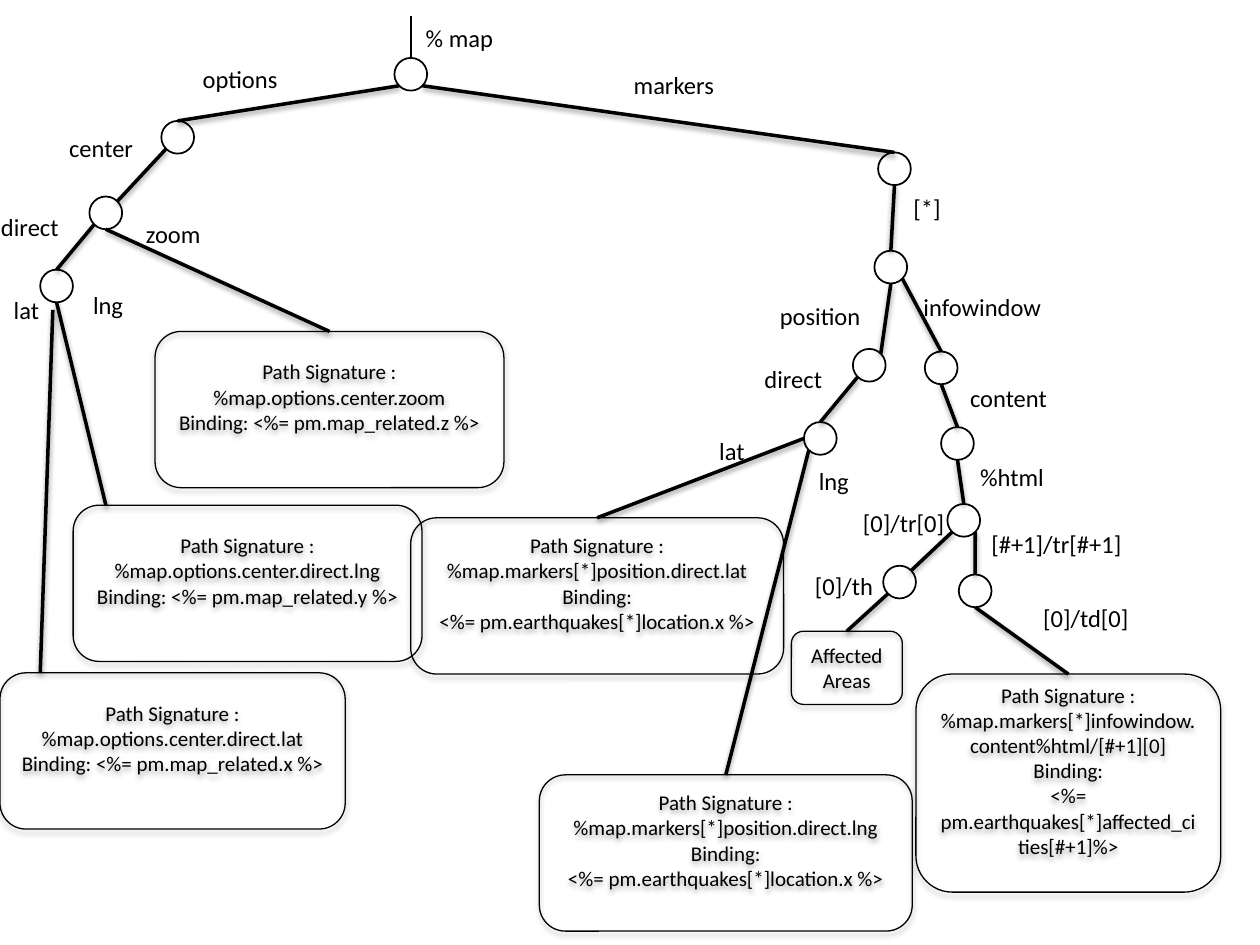
from lxml import etree
from pptx import Presentation
from pptx.dml.color import RGBColor
from pptx.enum import shapes, text
from pptx.oxml import ns
from pptx.util import Pt

HUES = {"ink": "000000", "paper": "FFFFFF"}
SIZE = 18.7
SITES = {"top": (0.5, 0), "left": (0, 0.5), "bottom": (0.5, 1),
         "nw": (0.15, 0.15), "ne": (0.85, 0.15),
         "sw": (0.15, 0.85), "se": (0.85, 0.85)}


def hue(name):
    return RGBColor.from_string(HUES[name])


def write(frame, lines, size=14, align=text.PP_ALIGN.LEFT, shift=0):
    for num, line in enumerate(lines):
        para = frame.paragraphs[0] if num == 0 else frame.add_paragraph()
        para.alignment = align
        run = para.add_run()
        run.text = line
        run.font.size = Pt(size)
        run.font.name = "Calibri"
        run.font.color.rgb = hue("ink")
        if shift and line == "Binding:":
            para._p.get_or_add_pPr().set("indent", str(-Pt(shift)))


def shade(shape, dist, alpha):
    props = shape._element.spPr
    for old in props.findall(ns.qn("a:effectLst")):
        props.remove(old)
    group = etree.SubElement(props, ns.qn("a:effectLst"))
    if dist:
        cast = etree.SubElement(group, ns.qn("a:outerShdw"), blurRad=str(Pt(3.1)),
                                dist=str(Pt(dist)), dir="5400000", rotWithShape="0")
        tint = etree.SubElement(cast, ns.qn("a:srgbClr"), val=HUES["ink"])
        etree.SubElement(tint, ns.qn("a:alpha"), val=str(alpha * 1000))


def label(slide, left, top, width, words):
    box = slide.shapes.add_textbox(Pt(left), Pt(top), Pt(width), Pt(24.2))
    box.text_frame.word_wrap = False
    box.text_frame.auto_size = text.MSO_AUTO_SIZE.SHAPE_TO_FIT_TEXT
    write(box.text_frame, [words])


def node(slide, left, top):
    ring = slide.shapes.add_shape(shapes.MSO_SHAPE.OVAL, Pt(left), Pt(top), Pt(SIZE), Pt(SIZE))
    ring.shadow.inherit = False
    ring.fill.solid()
    ring.fill.fore_color.rgb = hue("paper")
    ring.line.color.rgb = hue("ink")
    ring.line.width = Pt(1)
    return ring


def card(slide, left, top, width, height, lines, spare=14.6):
    box = slide.shapes.add_shape(shapes.MSO_SHAPE.ROUNDED_RECTANGLE,
                                 Pt(left), Pt(top), Pt(width), Pt(height))
    box.fill.background()
    box.line.color.rgb = hue("ink")
    box.line.width = Pt(0.75)
    shade(box, 1.8, 35)
    frame = box.text_frame
    frame.word_wrap = True
    frame.vertical_anchor = text.MSO_ANCHOR.MIDDLE
    frame.margin_bottom = Pt(3.6 + spare)
    write(frame, lines, size=12, align=text.PP_ALIGN.CENTER, shift=16)
    return box


def line(slide, start, end, width=2, dist=1.6):
    link = slide.shapes.add_connector(shapes.MSO_CONNECTOR.STRAIGHT, *start, *end)
    link.line.color.rgb = hue("ink")
    link.line.width = Pt(width)
    shade(link, dist, 38)
    return link


def spot(shape, site):
    across, down = SITES[site]
    return (int(shape.left + shape.width * across),
            int(shape.top + shape.height * down))


def join(slide, start, site, end, goal="top"):
    link = line(slide, spot(start, site), spot(end, goal))
    if goal == "top":
        link.end_connect(end, 0)


def trunk(slide, left, top):
    root = node(slide, left, top + 23.7)
    tip = spot(root, "top")
    line(slide, (tip[0], Pt(top)), tip, width=1, dist=0)
    label(slide, left + 10.8, top, 53.3, "% map")
    return root


def limb(slide, left, top, nodes, cards, labels, edges, root):
    parts = {"root": root}
    for name, (x, y) in nodes.items():
        parts[name] = node(slide, left + x, top + y)
    for name, (x, y, *rest) in cards.items():
        parts[name] = card(slide, left + x, top + y, *rest)
    for x, y, width, words in labels:
        label(slide, left + x, top + y, width, words)
    for start, site, end, *goal in edges:
        join(slide, parts[start], site, parts[end], *goal)
    return parts


def options(slide, left, top, root):
    def bind(trail, key):
        return [f"Path Signature : %map.options.center.{trail}",
                f"Binding: <%= pm.map_related.{key} %>"]

    nodes = {"options": (92.2, 39.1), "center": (51.1, 82.3), "direct": (23, 124.1)}
    cards = {"lng": (41.8, 258.7, 199.4, 89.3, bind("direct.lng", "y")),
             "lat": (0, 354.5, 197.3, 89.3, bind("direct.lat", "x")),
             "zoom": (88.6, 159.4, 199.4, 89.3, bind("zoom", "z"))}
    labels = [(108.7, 3.1, 57.6, "options"), (32.4, 42.7, 51.8, "center"),
              (-6.5, 87.4, 48.2, "direct"), (0.7, 134.9, 29.5, "lat"),
              (46.1, 132, 31.7, "lng"), (76.3, 91.7, 46.1, "zoom")]
    edges = [("root", "sw", "options"), ("options", "sw", "center", "ne"),
             ("center", "sw", "direct"), ("center", "bottom", "zoom")]
    parts = limb(slide, left, top, nodes, cards, labels, edges, root)
    line(slide, spot(parts["direct"], "bottom"), (Pt(left + 60.5), parts["lng"].top))
    line(slide, (Pt(left + 30.2), Pt(top + 147.1)), (Pt(left + 23), parts["lat"].top))


def markers(slide, left, top, root):
    def bind(trail, key):
        return [f"Path Signature : %map.markers[*]{trail}", "Binding:",
                f"<%= pm.earthquakes[*]{key}%>"]

    nodes = {"markers": (281.8, 57.1), "item": (279.7, 113.3), "place": (267.4, 169.4),
             "direct": (239.4, 211.2), "info": (308.5, 170.9), "content": (317.8, 214.1),
             "html": (321.4, 258), "head": (284.7, 293.3), "row": (327.9, 298.3)}
    cards = {"lat": (14.7, 265.9, 213.1, 89.3, bind("position.direct.lat", "location.x ")),
             "lng": (88.2, 412.8, 213.1, 89.3, bind("position.direct.lng", "location.x ")),
             "areas": (232.2, 330.7, 63.4, 41.8, ["Affected Areas"], 0),
             "cities": (303.4, 355.2, 174.2, 124.6,
                        bind("infowindow.content%html/[#+1][0]", "affected_cities[#+1]"))}
    labels = [(135, 6.7, 61.2, "markers"), (294.8, 76.6, 30.2, "[*]"),
              (218.5, 138.5, 61.2, "position"), (209.8, 174.5, 48.2, "direct"),
              (183.9, 215.5, 29.5, "lat"), (240.8, 232.8, 31.7, "lng"),
              (300.6, 133.4, 83.5, "infowindow"), (327.2, 185.3, 59, "content"),
              (333, 230.6, 51.1, "%html"), (266, 256.6, 61.2, "[0]/tr[0]"),
              (238.6, 292.6, 48.2, "[0]/th"), (339.4, 268.8, 89.3, "[#+1]/tr[#+1]"),
              (369, 311.3, 64.1, "[0]/td[0]")]
    edges = [("root", "se", "markers"), ("markers", "bottom", "item"),
             ("item", "bottom", "place", "ne"), ("item", "se", "info"),
             ("place", "sw", "direct"), ("direct", "left", "lat"), ("direct", "sw", "lng"),
             ("info", "bottom", "content"), ("content", "bottom", "html"),
             ("html", "sw", "head", "ne"), ("html", "se", "row"),
             ("head", "sw", "areas"), ("row", "bottom", "cities")]
    limb(slide, left, top, nodes, cards, labels, edges, root)


def main():
    deck = Presentation()
    deck.slide_width, deck.slide_height = Pt(720), Pt(540)
    slide = deck.slides.add_slide(deck.slide_layouts[6])
    root = trunk(slide, 225.4, 9.4)
    options(slide, 0, 30, root)
    markers(slide, 220, 30, root)
    deck.save("out.pptx")


if __name__ == "__main__":
    main()
